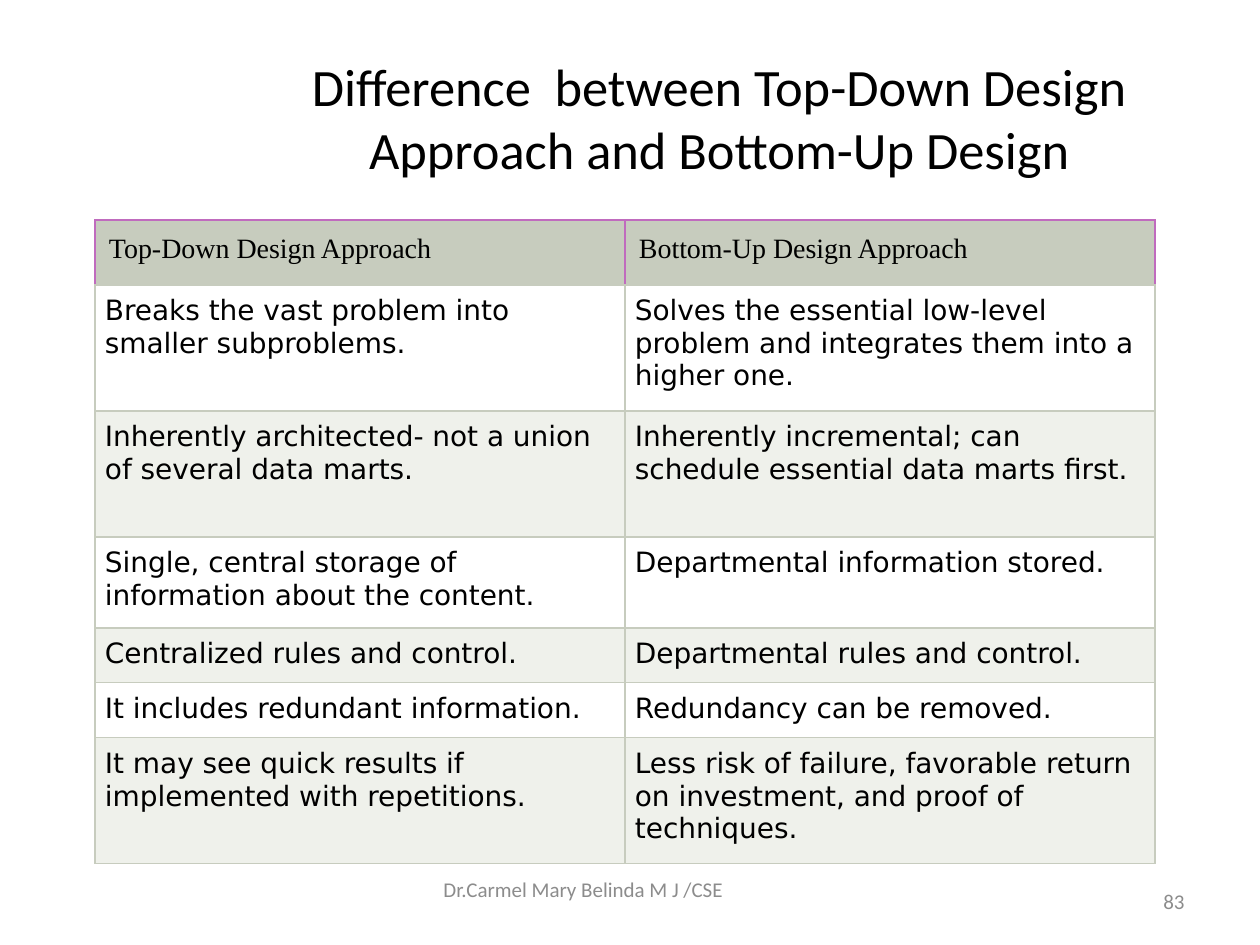
import pptx
import pptx.dml.color
import pptx.enum.text
import pptx.oxml.ns
import pptx.util
from lxml import etree

RGBColor = pptx.dml.color.RGBColor
ALIGN = pptx.enum.text.PP_ALIGN
ANCHOR = pptx.enum.text.MSO_ANCHOR

BLACK = RGBColor(0x00, 0x00, 0x00)
GREY = RGBColor(0x8C, 0x8C, 0x8C)
WHITE = RGBColor(0xFF, 0xFF, 0xFF)
SAGE = RGBColor(0xC7, 0xCC, 0xBE)
PALE_SAGE = RGBColor(0xEF, 0xF1, 0xEB)
ORCHID = RGBColor(0xC0, 0x6B, 0xBE)

PX_PER_INCH = 126
ROW_HEIGHTS = (65, 126, 126, 91, 55, 55, 126)
APPROACHES = [
    ("Top-Down Design Approach", "Bottom-Up Design Approach"),
    ("Breaks the vast problem into smaller subproblems.",
     "Solves the essential low-level problem and integrates them into a higher one."),
    ("Inherently architected- not a union of several data marts.",
     "Inherently incremental; can schedule essential data marts first."),
    ("Single, central storage of information about the content.",
     "Departmental information stored."),
    ("Centralized rules and control.", "Departmental rules and control."),
    ("It includes redundant information.", "Redundancy can be removed."),
    ("It may see quick results if implemented with repetitions.",
     "Less risk of failure, favorable return on investment, and proof of techniques."),
]


def px(length):
    return pptx.util.Emu(round(length * 914400 / PX_PER_INCH))


def write(frame, text, *, font="Calibri", size=12, color=BLACK, align=ALIGN.LEFT):
    frame.word_wrap = True
    paragraph = frame.paragraphs[0]
    paragraph.alignment = align
    run = paragraph.add_run()
    run.text = text
    run.font.name = font
    run.font.size = pptx.util.Pt(size)
    run.font.color.rgb = color


def add_text(slide, box, text, *, anchor=ANCHOR.MIDDLE, **text_format):
    frame = slide.shapes.add_textbox(*map(px, box)).text_frame
    frame.vertical_anchor = anchor
    write(frame, text, **text_format)
    return frame


def set_borders(cell, **colors):
    """Draw the cell edges; colors are given by side: L, R, T, B."""
    properties = cell._tc.get_or_add_tcPr()
    qn = pptx.oxml.ns.qn
    for side in "LRTB":
        edge = etree.SubElement(properties, qn("a:ln" + side),
                                w=str(pptx.util.Pt(0.75)))
        fill = etree.SubElement(edge, qn("a:solidFill"))
        etree.SubElement(fill, qn("a:srgbClr"), val=str(colors.get(side, SAGE)))


def add_title(slide, box):
    add_text(slide, box,
             "Difference  between Top-Down Design Approach and Bottom-Up Design",
             size=30, align=ALIGN.CENTER)


def add_comparison(slide, box):
    table = slide.shapes.add_table(
        len(APPROACHES), len(APPROACHES[0]), *map(px, box)).table
    table.first_row = table.horz_banding = False
    for column in table.columns:
        column.width = px(box[2] / len(APPROACHES[0]))

    for row_index, (height, row_texts) in enumerate(zip(ROW_HEIGHTS, APPROACHES)):
        table.rows[row_index].height = px(height)
        is_header = row_index == 0
        banding = WHITE if row_index % 2 else PALE_SAGE
        for column_index, text in enumerate(row_texts):
            cell = table.cell(row_index, column_index)
            # Borders come before the fill in the cell properties
            edges = dict.fromkeys("LRT", ORCHID) if is_header else {}
            set_borders(cell, **edges)
            cell.fill.solid()
            cell.fill.fore_color.rgb = SAGE if is_header else banding
            inset = px(14 if is_header else 10)
            cell.margin_left = cell.margin_right = inset
            cell.margin_top = cell.margin_bottom = inset
            write(cell.text_frame, text, size=16,
                  font="Times New Roman" if is_header else "DejaVu Sans")


def add_footer(slide, box):
    left, top, width, height = box
    author = add_text(slide, (left, top, 399, height),
                      "Dr.Carmel Mary Belinda M J /CSE",
                      color=GREY, anchor=ANCHOR.TOP)
    author.margin_top = px(1)
    number_width = 294
    add_text(slide, (left + width - number_width, top, number_width, height),
             "83", color=GREY, align=ALIGN.RIGHT)


def main():
    deck = pptx.Presentation()
    deck.slide_width, deck.slide_height = px(1260), px(945)
    slide = deck.slides.add_slide(deck.slide_layouts[6])
    add_title(slide, (242, 38, 955, 157))
    add_comparison(slide, (95, 220, 1060, sum(ROW_HEIGHTS)))
    add_footer(slide, (431, 876, 766, 50))
    deck.save("out.pptx")


if __name__ == "__main__":
    main()
